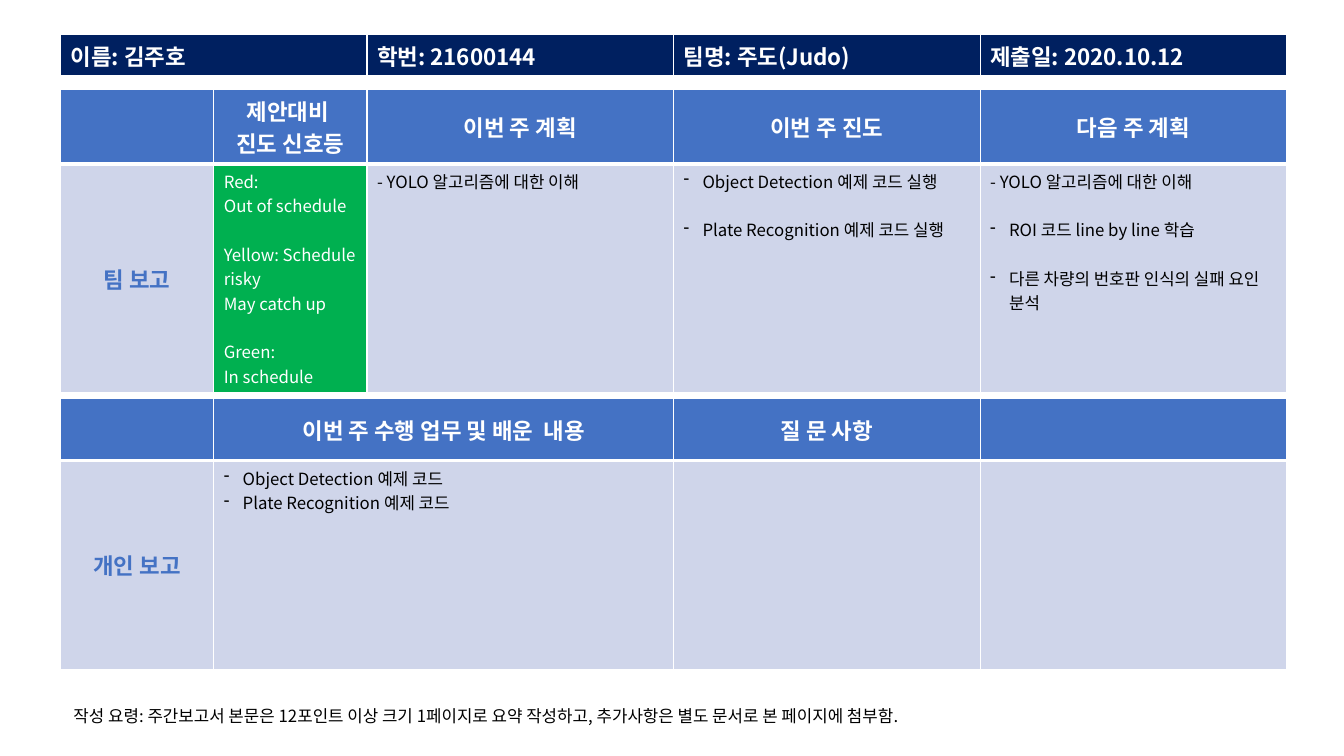
import pptx
import pptx.dml.color
import pptx.enum.text
import pptx.oxml
import pptx.oxml.ns
import pptx.util
from lxml import etree

Pt = pptx.util.Pt
RGBColor = pptx.dml.color.RGBColor
PP_ALIGN = pptx.enum.text.PP_ALIGN
MIDDLE = pptx.enum.text.MSO_ANCHOR.MIDDLE
qn = pptx.oxml.ns.qn

WHITE = RGBColor(0xFF, 0xFF, 0xFF)
BLACK = RGBColor(0, 0, 0)
NAVY = RGBColor(0x00, 0x20, 0x60)
BLUE = RGBColor(0x44, 0x72, 0xC4)
PALE = RGBColor(0xCF, 0xD5, 0xEA)
GREEN = RGBColor(0x00, 0xB0, 0x50)
FONT = "Noto Sans CJK KR"

LEFT, COLUMN = 43.2, 219
HALF = COLUMN / 2
HEADER_HEIGHT, BODY_HEIGHT = 44.64, 149
INDENT = 13.5
GAP = 17.4  # one line of 12 pt text


def style_font(paragraph, size, color, bold=False):
    font = paragraph.font
    font.name, font.size, font.bold = FONT, Pt(size), bold
    font.color.rgb = color
    east_asian = etree.SubElement(paragraph._p.pPr.find(qn("a:defRPr")), qn("a:ea"))
    east_asian.set("typeface", FONT)


def add_dash(paragraph):
    properties = paragraph._p.get_or_add_pPr()
    properties.set("marL", str(Pt(INDENT)))
    properties.set("indent", str(-Pt(INDENT)))
    bullet = etree.Element(qn("a:buChar"), char="-")
    properties.insert(list(properties).index(properties.find(qn("a:defRPr"))), bullet)


def set_borders(cell, top, bottom):
    widths = {"lnL": 1, "lnR": 1, "lnT": top, "lnB": bottom}
    for index, (side, width) in enumerate(widths.items()):
        line = pptx.oxml.parse_xml(
            f'<a:{side} {pptx.oxml.ns.nsdecls("a")} w="{Pt(width)}">'
            f'<a:solidFill><a:srgbClr val="{WHITE}"/></a:solidFill></a:{side}>')
        cell._tc.get_or_add_tcPr().insert(index, line)


def fill_cell(cell, color, top=1, bottom=1):
    cell.fill.solid()
    cell.fill.fore_color.rgb = color
    set_borders(cell, top, bottom)


def write_title(cell, text, color=WHITE, alignment=PP_ALIGN.CENTER):
    cell.text = text
    for paragraph in cell.text_frame.paragraphs:
        paragraph.alignment = alignment
        style_font(paragraph, 16, color, bold=True)


def write_body(cell, groups, color=BLACK):
    """Each group is a list of lines; a line starting with a tab gets a dash."""
    frame = cell.text_frame
    lines = [(line, group_number > 0 and line_number == 0)
             for group_number, group in enumerate(groups)
             for line_number, line in enumerate(group)]
    for number, (line, starts_group) in enumerate(lines):
        paragraph = frame.add_paragraph() if number else frame.paragraphs[0]
        paragraph.text = line.strip("\t")
        if starts_group:
            paragraph.space_before = Pt(GAP)
        style_font(paragraph, 12, color)
        if line.startswith("\t"):
            add_dash(paragraph)


def add_grid(slide, left, top, widths, heights):
    shape = slide.shapes.add_table(len(heights), len(widths), Pt(left), Pt(top),
                                   Pt(sum(widths)), Pt(sum(heights)))
    table = shape.table
    table.first_row = table.horz_banding = False
    for column, width in zip(table.columns, widths):
        column.width = Pt(width)
    for row, height in zip(table.rows, heights):
        row.height = Pt(height)
    return table


def add_identity(slide, left, top, texts):
    table = add_grid(slide, left, top, [COLUMN] * len(texts), [29.2])
    for cell, text in zip(table.iter_cells(), texts):
        fill_cell(cell, NAVY, bottom=3)
        write_title(cell, text, alignment=PP_ALIGN.LEFT)


def add_report(slide, left, top, widths, label, headings, contents):
    table = add_grid(slide, left, top, widths, [HEADER_HEIGHT, BODY_HEIGHT])
    # Heading row
    for column, heading in enumerate([""] + headings):
        cell = table.cell(0, column)
        fill_cell(cell, BLUE, bottom=3)
        cell.vertical_anchor = MIDDLE
        if heading:
            write_title(cell, heading)
    # Label and contents
    label_cell = table.cell(1, 0)
    fill_cell(label_cell, PALE, top=3)
    label_cell.vertical_anchor = MIDDLE
    write_title(label_cell, label, BLUE)
    for column, (groups, fill, color) in enumerate(contents, start=1):
        cell = table.cell(1, column)
        fill_cell(cell, fill, top=3)
        write_body(cell, groups, color)


def add_note(slide, left, top, text):
    frame = slide.shapes.add_textbox(Pt(left), Pt(top), Pt(656.6), Pt(21.6)).text_frame
    frame.word_wrap = False
    frame.auto_size = pptx.enum.text.MSO_AUTO_SIZE.SHAPE_TO_FIT_TEXT
    frame.text = text
    style_font(frame.paragraphs[0], 12, BLACK)


def main():
    presentation = pptx.Presentation()
    presentation.slide_width, presentation.slide_height = Pt(960), Pt(540)
    slide = presentation.slides.add_slide(presentation.slide_layouts[6])

    add_identity(slide, LEFT, 24.5, ["이름: 김주호", "학번: 21600144",
                                     "팀명: 주도(Judo)", "제출일: 2020.10.12"])

    # Team report
    signal = [["Red:", "Out of schedule"],
              ["Yellow: Schedule risky", "May catch up"],
              ["Green:", "In schedule"]]
    plan = [["- YOLO 알고리즘에 대한 이해"]]
    progress = [["\tObject Detection 예제 코드 실행"],
                ["\tPlate Recognition 예제 코드 실행"]]
    next_plan = plan + [["\tROI 코드 line by line 학습"],
                        ["\t다른 차량의 번호판 인식의 실패 요인 분석"]]
    add_report(slide, LEFT, 63.6, [HALF, HALF, COLUMN, COLUMN, COLUMN], "팀 보고",
               ["제안대비 \n진도 신호등", "이번 주 계획", "이번 주 진도", "다음 주 계획"],
               [(signal, GREEN, WHITE), (plan, PALE, BLACK),
                (progress, PALE, BLACK), (next_plan, PALE, BLACK)])

    # Personal report
    learned = [["\tObject Detection 예제 코드", "\tPlate Recognition 예제 코드"]]
    add_report(slide, LEFT, 284.4, [HALF, HALF + COLUMN, COLUMN, COLUMN], "개인 보고",
               ["이번 주 수행 업무 및 배운  내용", "질 문 사항", ""],
               [(learned, PALE, BLACK), ([], PALE, BLACK), ([], PALE, BLACK)])

    add_note(slide, 45.4, 500.4,
             "작성 요령: 주간보고서 본문은 12포인트 이상 크기 1페이지로 요약 작성하고, "
             "추가사항은 별도 문서로 본 페이지에 첨부함.")

    presentation.save("out.pptx")


if __name__ == "__main__":
    main()
